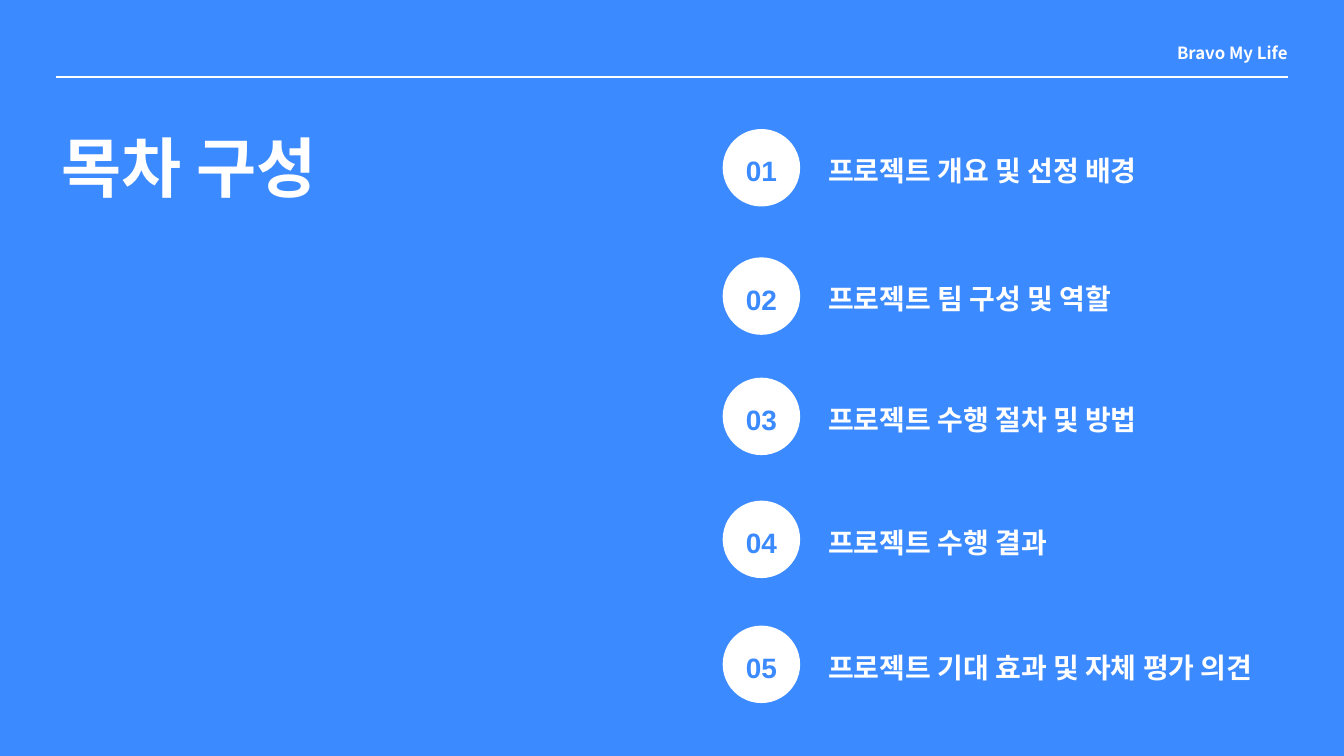
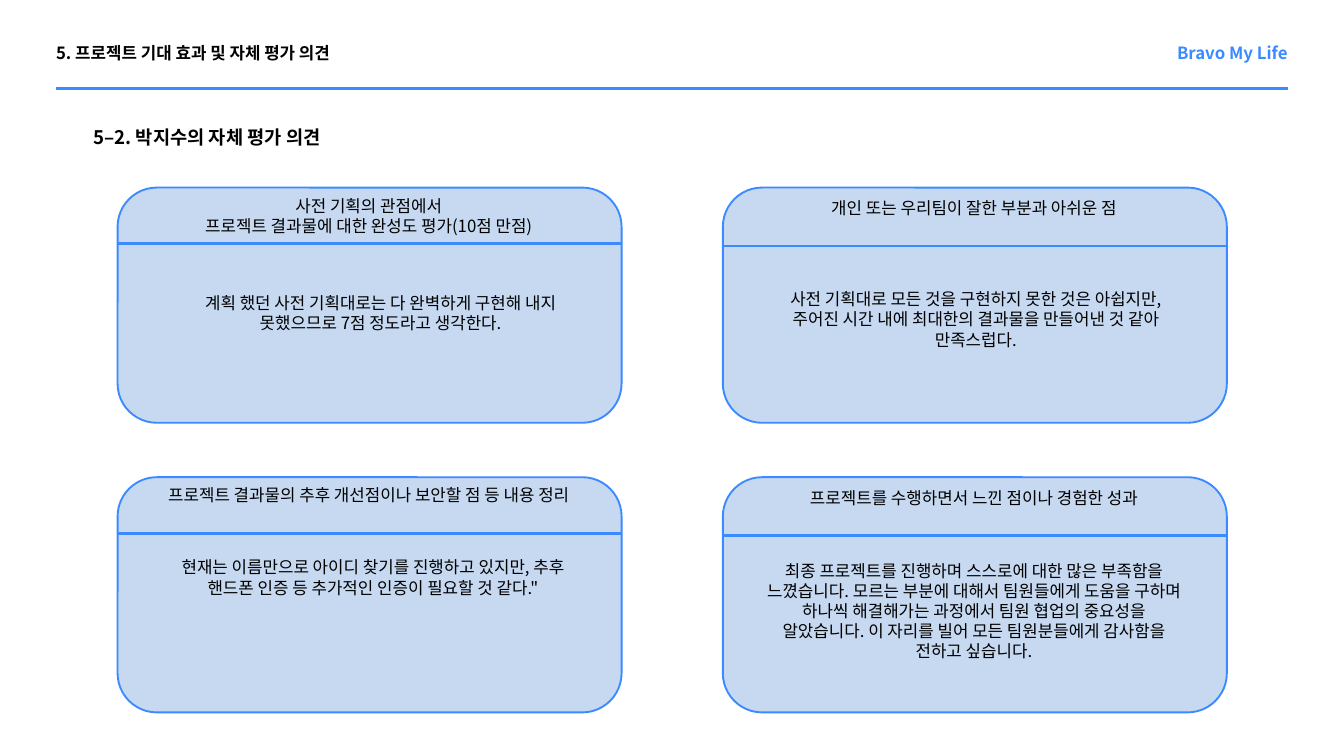
"""Build the contents slide and the self-evaluation slide."""
import pptx
import pptx.util
import pptx.dml.color
import pptx.enum.shapes
import pptx.enum.text
import pptx.oxml.ns
import lxml.etree

Pt = pptx.util.Pt
RGBColor = pptx.dml.color.RGBColor
SHAPE = pptx.enum.shapes.MSO_SHAPE
ALIGN = pptx.enum.text.PP_ALIGN

BLUE = RGBColor(0x3B, 0x8A, 0xFF)
PALE = RGBColor(0xC6, 0xD9, 0xF1)
WHITE = RGBColor(0xFF, 0xFF, 0xFF)
BLACK = RGBColor(0, 0, 0)
SANS = "Noto Sans CJK KR"
ARIAL = "Arial"
WIDTH, HEIGHT = 1440, 810
MARGIN = 60

CONTENTS = [
    (138.24, "프로젝트 개요 및 선정 배경"),
    (275.76, "프로젝트 팀 구성 및 역할"),
    (404.64, "프로젝트 수행 절차 및 방법"),
    (536.4, "프로젝트 수행 결과"),
    (670.32, "프로젝트 기대 효과 및 자체 평가 의견"),
]

CARDS = [
    ("사전 기획의 관점에서\n프로젝트 결과물에 대한 완성도 평가(10점 만점)",
     "계획 했던 사전 기획대로는 다 완벽하게 구현해 내지 못했으므로 7점 정도라고 생각한다.",
     (60, 108.7, 443.5, 51)),
    ("개인 또는 우리팀이 잘한 부분과 아쉬운 점",
     "사전 기획대로 모든 것을 구현하지 못한 것은 아쉽지만, 주어진 시간 내에 "
     "최대한의 결과물을 만들어낸 것 같아 만족스럽다.",
     (59, 105, 424, 73)),
    ("프로젝트 결과물의 추후 개선점이나 보안할 점 등 내용 정리",
     "현재는 이름만으로 아이디 찾기를 진행하고 있지만, 추후 핸드폰 인증 등 "
     "추가적인 인증이 필요할 것 같다.\"",
     (57.6, 82, 432, 73)),
    ("프로젝트를 수행하면서 느낀 점이나 경험한 성과",
     "최종 프로젝트를 진행하며 스스로에 대한 많은 부족함을 느꼈습니다. 모르는 부분에 "
     "대해서 팀원들에게 도움을 구하며 하나씩 해결해가는 과정에서 팀원 협업의 중요성을 "
     "알았습니다. 이 자리를 빌어 모든 팀원분들에게 감사함을 전하고 싶습니다.",
     (35, 85.7, 468, 118)),
]


def style_text(tf, text, size, color, font=SANS, bold=False, align=None, spacing=None):
    tf.word_wrap = True
    tf.text = text
    for p in tf.paragraphs:
        p.alignment = align
        if spacing:
            p.line_spacing = Pt(spacing)
        for r in p.runs:
            r.font.size = Pt(size)
            r.font.name = font
            r.font.bold = bold
            r.font.color.rgb = color


def clear_insets(tf):
    tf.margin_left = tf.margin_top = tf.margin_right = tf.margin_bottom = 0


def add_text(s, box, text, size, color, **style):
    tf = s.shapes.add_textbox(*map(Pt, box)).text_frame
    style_text(tf, text, size, color, **style)
    tf.auto_size = pptx.enum.text.MSO_AUTO_SIZE.SHAPE_TO_FIT_TEXT
    return tf


def add_heading(s, box, text, size, color, **style):
    tf = add_text(s, box, text, size, color, bold=True, spacing=size * 1.4, **style)
    clear_insets(tf)


def add_rule(s, left, right, y, color, weight):
    line = s.shapes.add_connector(
        pptx.enum.shapes.MSO_CONNECTOR.STRAIGHT, Pt(left), Pt(y), Pt(right), Pt(y))
    line.line.color.rgb = color
    line.line.width = Pt(weight)
    lxml.etree.SubElement(line._element.spPr, pptx.oxml.ns.qn("a:effectLst"))


def add_shape(s, kind, box, fill):
    sp = s.shapes.add_shape(kind, *map(Pt, box))
    sp.shadow.inherit = False
    sp.fill.solid()
    sp.fill.fore_color.rgb = fill
    sp.line.fill.background()
    return sp


def add_slide(prs, background, accent, rule_y, rule_weight):
    s = prs.slides.add_slide(prs.slide_layouts[6])
    s.background.fill.solid()
    s.background.fill.fore_color.rgb = background
    add_rule(s, MARGIN, WIDTH - MARGIN, rule_y, accent, rule_weight)
    add_heading(s, (1211, 42.5, 168.5, 23), "Bravo My Life", 18, accent, align=ALIGN.RIGHT)
    return s


def add_contents_item(s, left, top, number, title):
    diameter = 83
    sp = add_shape(s, SHAPE.OVAL, (left, top, diameter, diameter), WHITE)
    style_text(sp.text_frame, f"{number:02}", 30, BLUE, font=ARIAL, bold=True,
               align=ALIGN.CENTER, spacing=42)
    clear_insets(sp.text_frame)
    sp.text_frame.vertical_anchor = pptx.enum.text.MSO_ANCHOR.MIDDLE
    add_heading(s, (left + 113, top + 20.3, 523, 42.4), title, 30, WHITE, font=ARIAL)


def add_card(s, box, title, body, body_box, title_y, rule_y):
    left, top, width, height = box
    sp = add_shape(s, SHAPE.ROUNDED_RECTANGLE, box, PALE)
    sp.line.color.rgb = BLUE
    sp.line.width = Pt(2)
    add_rule(s, left - 1, left + width - 1, top + rule_y, BLUE, 3)
    add_text(s, (left + 35, top + title_y, 468, 29), title, 18, BLACK, align=ALIGN.CENTER)
    x, y, w, h = body_box
    add_text(s, (left + x, top + y, w, h), body, 18, BLACK, align=ALIGN.CENTER)


def build_contents(prs):
    s = add_slide(prs, BLUE, WHITE, 82.5, 2.25)
    add_heading(s, (-18, 122.4, 442, 98.6), "목차 구성", 70, WHITE,
                font=ARIAL, align=ALIGN.CENTER)
    for number, (top, title) in enumerate(CONTENTS, 1):
        add_contents_item(s, 774.3, top, number, title)


def build_evaluation(prs):
    s = add_slide(prs, WHITE, BLUE, 95, 3)
    add_heading(s, (MARGIN, 42.5, 420, 23), "5. 프로젝트 기대 효과 및 자체 평가 의견",
                18, BLACK, align=ALIGN.JUSTIFY)
    add_heading(s, (100, 130.3, 515.5, 26), "5–2. 박지수의 자체 평가 의견", 20, BLACK)
    for i, (title, body, body_box) in enumerate(CARDS):
        row, col = divmod(i, 2)
        box = (126 + col * 648.5, 201 + row * 310.3, 540, 252)
        add_card(s, box, title, body, body_box, 5 + col * 2.5, 60 + col * 2.6)


def main():
    prs = pptx.Presentation()
    prs.slide_width, prs.slide_height = Pt(WIDTH), Pt(HEIGHT)
    build_contents(prs)
    build_evaluation(prs)
    prs.save("out.pptx")


if __name__ == "__main__":
    main()
